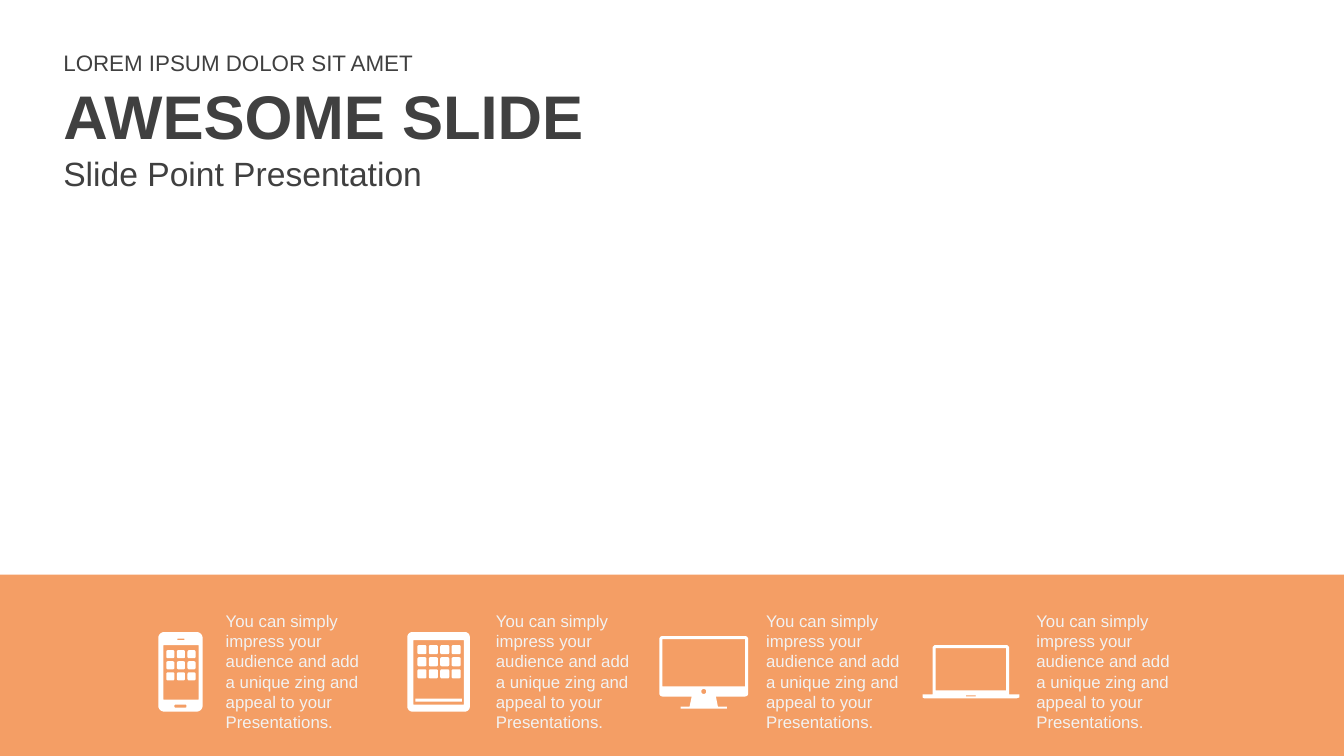
"""Build a title slide with a footer band of four device icons and captions."""
from math import cos, pi, sin

from lxml import etree
from pptx import Presentation
from pptx.dml.color import RGBColor
from pptx.enum.shapes import MSO_SHAPE
from pptx.enum.text import MSO_ANCHOR, MSO_AUTO_SIZE
from pptx.oxml.ns import qn
from pptx.util import Inches, Pt

RECTANGLE = MSO_SHAPE.RECTANGLE
TOP, MIDDLE = MSO_ANCHOR.TOP, MSO_ANCHOR.MIDDLE
FIT_SHAPE = MSO_AUTO_SIZE.SHAPE_TO_FIT_TEXT

ORANGE = RGBColor(0xF0, 0x76, 0x24)
WHITE = RGBColor(0xFF, 0xFF, 0xFF)
PALE = RGBColor(0xF2, 0xF2, 0xF2)
DARK = RGBColor(0x40, 0x40, 0x40)

SLIDE_WIDTH, SLIDE_HEIGHT = 13.33, 7.5
BAND_TOP = SLIDE_HEIGHT * 0.76
BAND_OPACITY = 70

HEADINGS = [
    ("AWESOME SLIDE", 0.72, 0.84, 44, True, MIDDLE),
    ("Slide Point Presentation", 1.47, 0.5, 24, False, MIDDLE),
    ("LOREM IPSUM DOLOR SIT AMET", 0.44, 0.37, 16, False, TOP),
]
HEADING_LEFT, HEADING_WIDTH = 0.53, 6.01

CAPTION = ("You can simply impress your audience and add a unique zing "
           "and appeal to your Presentations.")
CAPTION_COUNT = 4
CAPTION_LEFT, CAPTION_PITCH = 2.14, 2.68
CAPTION_TOP, CAPTION_WIDTH, CAPTION_HEIGHT = 6.01, 1.59, 1.31


def rounded(left, top, right, bottom, radius=0.0, steps=6):
    """Return the outline of a rectangle with rounded corners."""
    if not radius:
        return [(left, top), (right, top), (right, bottom), (left, bottom)]
    corners = [(right - radius, bottom - radius), (left + radius, bottom - radius),
               (left + radius, top + radius), (right - radius, top + radius)]
    return [(x + radius * cos((quarter + step / steps) * pi / 2),
             y + radius * sin((quarter + step / steps) * pi / 2))
            for quarter, (x, y) in enumerate(corners) for step in range(steps + 1)]


def app_grid(left, top, columns, rows, pitch_x, pitch_y, size):
    """Return the outlines of the app keys on a screen."""
    return [rounded(left + column * pitch_x, top + row * pitch_y,
                    left + column * pitch_x + size, top + row * pitch_y + size, 0.015)
            for row in range(rows) for column in range(columns)]


PHONE = [
    rounded(1.57, 6.27, 2.01, 7.06, 0.06),
    rounded(1.62, 6.4, 1.97, 6.94),
    rounded(1.76, 6.335, 1.83, 6.35),
    rounded(1.73, 6.99, 1.85, 7.02, 0.01),
    *app_grid(1.65, 6.45, 3, 3, 0.105, 0.11, 0.08),
]
TABLET = [
    rounded(4.04, 6.27, 4.66, 7.06, 0.05),
    rounded(4.1, 6.35, 4.6, 6.99),
    rounded(4.12, 6.93, 4.58, 6.96),
    *app_grid(4.14, 6.4, 4, 3, 0.113, 0.12, 0.09),
]
MONITOR = [
    rounded(6.54, 6.31, 7.42, 6.91, 0.03),
    rounded(6.57, 6.34, 7.39, 6.81),
    rounded(6.955, 6.835, 7.005, 6.885, 0.025),
    [(6.86, 6.91), (7.1, 6.91), (7.12, 7.01), (7.21, 7.01),
     (7.21, 7.03), (6.75, 7.03), (6.75, 7.01), (6.84, 7.01)],
]
LAPTOP = [
    [(9.27, 6.4), (9.99, 6.4), (10.01, 6.42), (10.01, 6.89), (10.11, 6.89),
     (10.11, 6.92), (10.08, 6.93), (9.17, 6.93), (9.15, 6.92), (9.15, 6.89),
     (9.25, 6.89), (9.25, 6.42)],
    rounded(9.28, 6.43, 9.98, 6.85),
    rounded(9.58, 6.9, 9.68, 6.91),
]


def paint(shape, color):
    """Give a shape a plain fill without line or shadow."""
    shape.shadow.inherit = False
    shape.fill.solid()
    shape.fill.fore_color.rgb = color
    shape.line.fill.background()


def add_band(slide):
    """Add the translucent footer band."""
    band = slide.shapes.add_shape(RECTANGLE, 0, Inches(BAND_TOP), Inches(SLIDE_WIDTH),
                                  Inches(SLIDE_HEIGHT - BAND_TOP))
    paint(band, ORANGE)
    color = band.fill._xPr.find(".//" + qn("a:srgbClr"))
    etree.SubElement(color, qn("a:alpha")).set("val", str(BAND_OPACITY * 1000))


def add_icon(slide, outlines):
    """Draw the outlines of a device as one shape with holes."""
    outlines = [[(Inches(x), Inches(y)) for x, y in outline] for outline in outlines]
    builder = slide.shapes.build_freeform(*outlines[0][0])
    builder.add_line_segments(outlines[0][1:], close=True)
    for outline in outlines[1:]:
        builder.move_to(*outline[0])
        builder.add_line_segments(outline[1:], close=True)
    paint(builder.convert_to_shape(), WHITE)


def add_text(slide, text, box, size, color, bold=False, anchor=TOP):
    """Add a wrapped text box in a single style."""
    text_frame = slide.shapes.add_textbox(*map(Inches, box)).text_frame
    text_frame.word_wrap = True
    text_frame.auto_size = FIT_SHAPE
    text_frame.vertical_anchor = anchor
    text_frame.text = text
    font = text_frame.paragraphs[0].runs[0].font
    font.name, font.size, font.bold = "Arial", Pt(size), bold
    font.color.rgb = color


def main():
    """Assemble and save the slide."""
    presentation = Presentation()
    presentation.slide_width = Inches(SLIDE_WIDTH)
    presentation.slide_height = Inches(SLIDE_HEIGHT)
    slide = presentation.slides.add_slide(presentation.slide_layouts[6])
    add_band(slide)
    for outlines in (PHONE, TABLET, MONITOR, LAPTOP):
        add_icon(slide, outlines)
    for column in range(CAPTION_COUNT):
        left = CAPTION_LEFT + column * CAPTION_PITCH
        add_text(slide, CAPTION, (left, CAPTION_TOP, CAPTION_WIDTH, CAPTION_HEIGHT), 12, PALE)
    for text, top, height, size, bold, anchor in HEADINGS:
        add_text(slide, text, (HEADING_LEFT, top, HEADING_WIDTH, height), size, DARK, bold, anchor)
    presentation.save("out.pptx")


if __name__ == "__main__":
    main()
